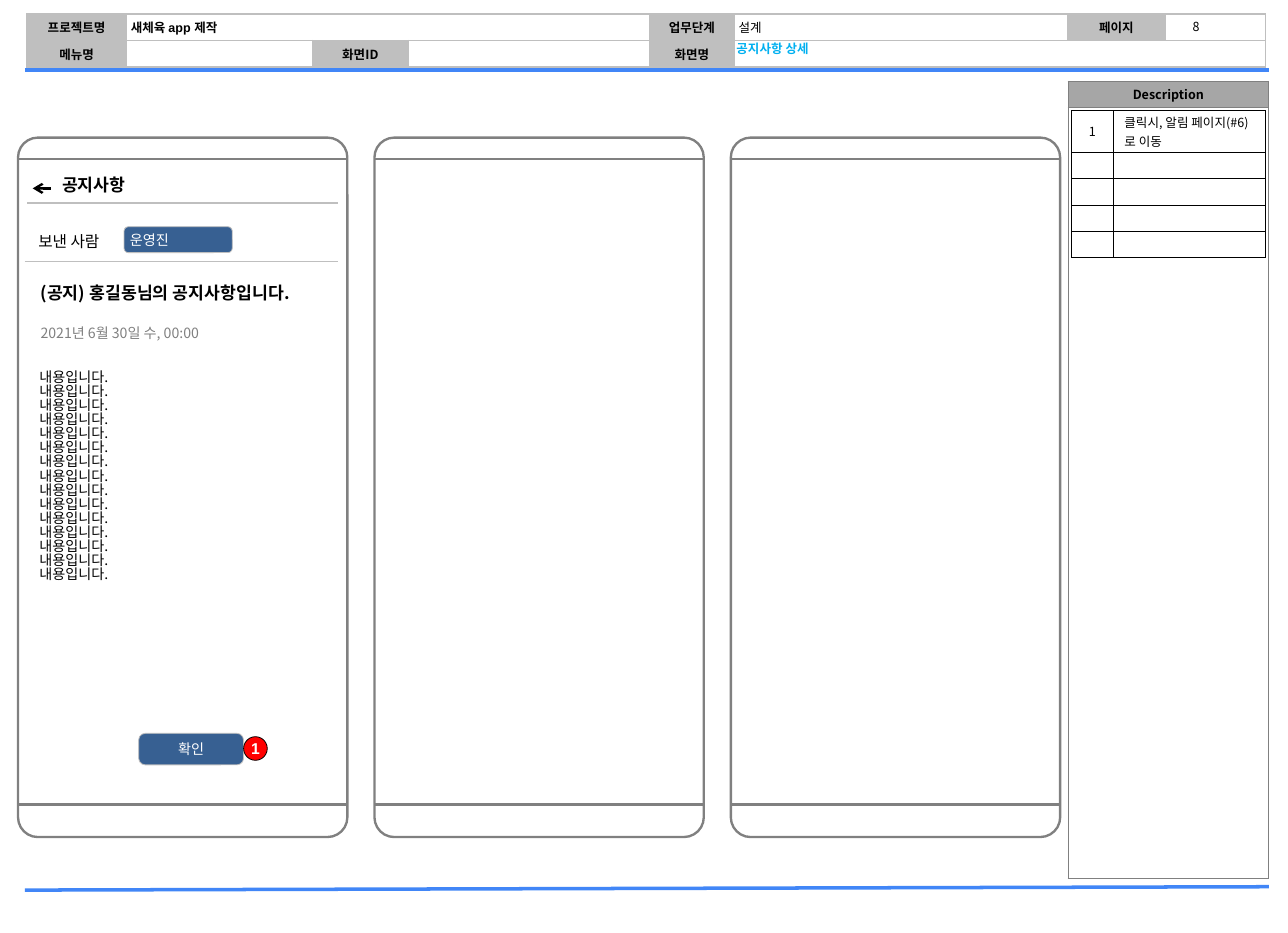
"""Build the notice detail page of an app storyboard."""
from dataclasses import dataclass

from lxml import etree
from pptx import Presentation
from pptx.dml.color import RGBColor
from pptx.enum.shapes import MSO_CONNECTOR, MSO_SHAPE
from pptx.enum.text import MSO_ANCHOR, PP_ALIGN
from pptx.oxml.ns import qn
from pptx.util import Inches, Pt

ROUND, OVAL = MSO_SHAPE.ROUNDED_RECTANGLE, MSO_SHAPE.OVAL
LINE = MSO_CONNECTOR.STRAIGHT
TOP, MID = MSO_ANCHOR.TOP, MSO_ANCHOR.MIDDLE
LEFT, MIDST = PP_ALIGN.LEFT, PP_ALIGN.CENTER


@dataclass(frozen=True)
class Theme:
    """Colours, fonts and type sizes."""
    ink: str = "000000"
    white: str = "FFFFFF"
    pale: str = "BFBFBF"
    head: str = "A6A6A6"
    gray: str = "808080"
    rule: str = "4186F7"
    sky: str = "00B0F0"
    navy: str = "376092"
    red: str = "FF0000"
    font: str = "Noto Sans CJK KR"
    latin: str = "Arial"
    small: int = 8
    body: int = 9
    label: int = 10
    title: int = 11
    tight: float = 0.83


T = Theme()


def rgb(code):
    """Return a colour from its hex code."""
    return RGBColor.from_string(code)


def unit(n):
    """Turn grid steps of a tenth of an inch into a length."""
    return Inches(n / 10)


class Page:
    """Draws elements on one slide, placed in grid steps."""

    def __init__(self, deck):
        """Add a blank slide."""
        self.items = deck.slides.add_slide(deck.slide_layouts[6]).shapes

    def put(self, frame, text, size=T.small, color=T.ink, bold=False,
            align=LEFT, font=T.font, lead=None):
        """Fill a text frame, one paragraph per line."""
        for i, line in enumerate(text.split("\n")):
            para = frame.add_paragraph() if i else frame.paragraphs[0]
            para.alignment = align
            if lead:
                para.line_spacing = lead
            if not line:
                etree.SubElement(para._p, qn("a:endParaRPr"), sz=str(size * 100))
                continue
            run = para.add_run()
            run.text = line
            face = run.font
            face.name, face.size, face.bold = font, Pt(size), bold
            face.color.rgb = rgb(color)
            etree.SubElement(run._r.get_or_add_rPr(), qn("a:ea"), typeface=T.font)

    def inset(self, box, side, edge):
        """Set the margins of a frame or cell."""
        box.margin_left = box.margin_right = unit(side)
        box.margin_top = box.margin_bottom = unit(edge)

    def text(self, x, y, w, h, words, anchor=TOP, pad=(0, 0), **style):
        """Add a text box."""
        frame = self.items.add_textbox(*map(unit, (x, y, w, h))).text_frame
        frame.word_wrap = True
        frame.vertical_anchor = anchor
        self.inset(frame, *pad)
        self.put(frame, words, **style)

    def shape(self, kind, x, y, w, h, line, width, fill=None, adj=None,
              words=None, pad=0, **style):
        """Add a preset shape with optional text."""
        item = self.items.add_shape(kind, *map(unit, (x, y, w, h)))
        item.shadow.inherit = False
        item.line.color.rgb, item.line.width = rgb(line), Pt(width)
        if fill:
            item.fill.solid()
            item.fill.fore_color.rgb = rgb(fill)
        else:
            item.fill.background()
        if adj:
            item.adjustments[0] = adj
        if words:
            frame = item.text_frame
            frame.vertical_anchor = MID
            self.inset(frame, pad, 0)
            self.put(frame, words, **style)

    def line(self, x1, y1, x2, y2, color, width, tip=False):
        """Add a straight line, with an arrow tip if asked."""
        item = self.items.add_connector(LINE, *map(unit, (x1, y1, x2, y2)))
        item.line.color.rgb, item.line.width = rgb(color), Pt(width)
        prop = item._element.spPr
        if tip:
            etree.SubElement(prop.find(qn("a:ln")), qn("a:tailEnd"), type="arrow")
        etree.SubElement(prop, qn("a:effectLst"))

    def edge(self, cell, color, width):
        """Draw the four borders of a cell."""
        prop = cell._tc.get_or_add_tcPr()
        for side in ("a:lnL", "a:lnR", "a:lnT", "a:lnB"):
            ln = etree.SubElement(prop, qn(side), w=str(int(Pt(width))))
            fill = etree.SubElement(ln, qn("a:solidFill"))
            etree.SubElement(fill, qn("a:srgbClr"), val=color)

    def table(self, x, y, cols, rows, cells, line, width, fill=None,
              pad=(0.4, 0.2), spans=()):
        """Add a table; cells maps (row, column) to text, fill and style."""
        size = map(unit, (x, y, sum(cols), sum(rows)))
        grid = self.items.add_table(len(rows), len(cols), *size).table
        grid.first_row = grid.horz_banding = False
        for i, n in enumerate(cols):
            grid.columns[i].width = unit(n)
        for i, n in enumerate(rows):
            grid.rows[i].height = unit(n)
        for row, first, last in spans:
            grid.cell(row, first).merge(grid.cell(row, last))
        for r in range(len(rows)):
            for c in range(len(cols)):
                words, tone, style = cells.get((r, c), ("", fill, {}))
                cell = grid.cell(r, c)
                self.edge(cell, line, width)
                if tone:
                    cell.fill.solid()
                    cell.fill.fore_color.rgb = rgb(tone)
                else:
                    cell.fill.background()
                cell.vertical_anchor = MID
                self.inset(cell, *pad)
                self.put(cell.text_frame, words, **style)

    def phone(self, x):
        """Add an empty phone outline."""
        self.shape(ROUND, x, 12.2, 29.2, 62, T.gray, 1.5, adj=0.06)
        for y in (14.1, 71.3):
            self.line(x, y, x + 29.2, y, T.gray, 1.5)


def frame(page):
    """Draw the header, rules, side panel and phones."""
    tag = {"bold": True, "align": MIDST}
    tags = {(0, 0): "프로젝트명", (0, 4): "업무단계", (0, 6): "페이지",
            (1, 0): "메뉴명", (1, 2): "화면ID", (1, 4): "화면명"}
    cells = {spot: (words, T.pale, tag) for spot, words in tags.items()}
    cells[0, 1] = ("새체육 app 제작", None, {"bold": True, "font": T.latin})
    cells[0, 5] = ("설계", None, {})
    page.line(2.2, 78.9, 112.5, 78.6, T.rule, 2.25)
    page.table(2.4, 1.25, (8.8, 16.5, 8.5, 21.4, 7.5, 29.6, 8.6, 8.9), (2.35, 2.35),
               cells, T.pale, 1, spans=((0, 1, 3), (1, 5, 7)))
    page.text(103.9, 1.3, 4.3, 2.1, "8", pad=(0.7, 0.4), align=MIDST)
    page.line(2.2, 6.2, 112.5, 6.2, T.rule, 2.25)
    page.table(94.7, 7.2, (17.8,), (2.3, 68.4),
               {(0, 0): ("Description", T.head, tag)}, T.gray, 0.5, T.white)
    for i in range(3):
        page.phone(1.6 + 31.6 * i)


def notice(page):
    """Draw the notice screen and its remarks."""
    page.text(65.3, 3.3, 46.5, 2, "공지사항 상세", MID, color=T.sky, bold=True)
    page.line(4.5, 16.7, 2.9, 16.7, T.ink, 1.5, tip=True)
    page.text(5.5, 15.8, 12.9, 1.9, "공지사항", size=T.title, bold=True, lead=T.tight)
    page.line(2.4, 18, 30, 18, T.pale, 0.75)
    page.text(3.4, 20.5, 8.9, 1.7, "보낸 사람", MID, size=T.label)
    page.shape(ROUND, 11, 20.1, 9.6, 2.3, T.pale, 0.5, T.navy,
               words="운영진", pad=0.4, size=T.body, color=T.white)
    page.line(2.2, 23.2, 30, 23.2, T.pale, 0.75)
    page.text(3.6, 25.3, 25, 1.9, "(공지) 홍길동님의 공지사항입니다.",
              size=T.title, bold=True, lead=T.tight)
    page.text(3.6, 29, 25, 1.5, "2021년 6월 30일 수, 00:00",
              size=T.body, color=T.gray, lead=T.tight)
    page.text(3.5, 32.9, 25, 24.2, "\n".join(["내용입니다."] * 15),
              size=T.body, lead=T.tight)
    page.shape(ROUND, 12.3, 65, 9.3, 2.8, T.pale, 0.5, T.navy, 0.21,
               "확인", size=T.body, color=T.white, align=MIDST)
    page.shape(OVAL, 21.6, 65.3, 2.1, 2.1, T.ink, 0.5, T.red, words="1",
               size=T.label, color=T.white, bold=True, align=MIDST, font=T.latin)
    notes = {(0, 0): ("1", T.white, {"align": MIDST}),
             (0, 1): ("클릭시, 알림 페이지(#6)로 이동", T.white, {})}
    page.table(95, 9.8, (3.7, 13.5), (3.7,) + (2.33,) * 4, notes, T.ink, 0.25,
               T.white, pad=(1, 0.2))


def main():
    """Build and save the deck."""
    deck = Presentation()
    deck.slide_width, deck.slide_height = unit(114.2), unit(82.7)
    page = Page(deck)
    frame(page)
    notice(page)
    deck.save("out.pptx")


if __name__ == "__main__":
    main()
